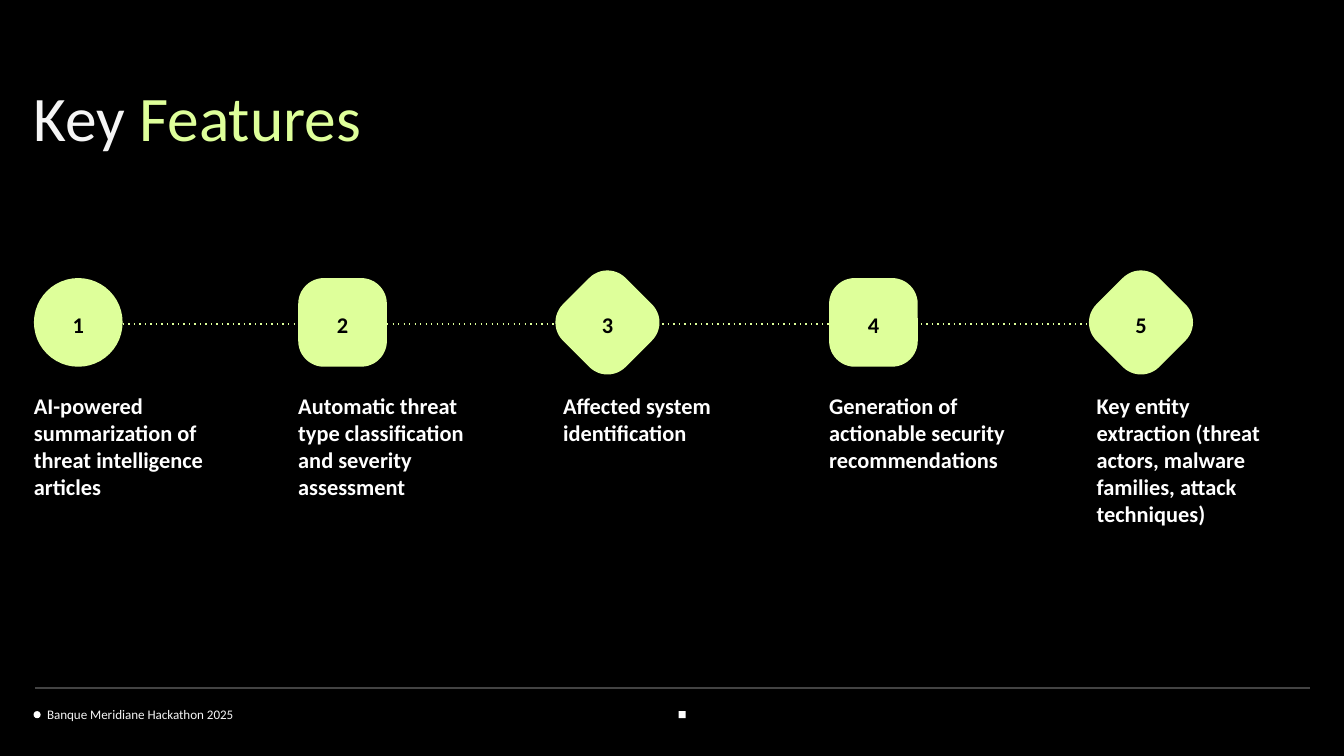
from lxml import etree
from pptx import Presentation
from pptx.dml.color import RGBColor
from pptx.enum.shapes import MSO_CONNECTOR, MSO_SHAPE
from pptx.enum.text import MSO_ANCHOR, MSO_AUTO_SIZE, PP_ALIGN
from pptx.oxml.ns import qn
from pptx.util import Pt

COLORS = {
    "background": "000000",
    "accent": "DEFF9A",
    "title": "F5F5F5",
    "text": "FFFFFF",
    "number": "000000",
    "rule": "434343",
}
FEATURES = [
    (18.2, 0.5, 0, "AI-powered summarization of threat intelligence articles"),
    (159.8, 0.29, 0, "Automatic threat type classification and severity assessment"),
    (301.7, 0.29, 315, "Affected system identification"),
    (444.2, 0.29, 0, "Generation of actionable security recommendations"),
    (587.5, 0.29, 315, "Key entity extraction (threat actors, malware families, attack techniques)"),
]
MARKER = 47.5
MARKER_TOP = 149
NUMBER_W, NUMBER_H = 24.5, 26.6


class Deck:
    font = "Calibri"

    def __init__(self, prs):
        self.slide = prs.slides.add_slide(prs.slide_layouts[5])
        fill = self.slide.background.fill
        fill.solid()
        fill.fore_color.rgb = self.color("background")

    def color(self, name):
        return RGBColor.from_string(COLORS[name])

    def line(self, x1, x2, y, color, dash=None):
        c = self.slide.shapes.add_connector(
            MSO_CONNECTOR.STRAIGHT, Pt(x1), Pt(y), Pt(x2), Pt(y))
        c.line.width = Pt(0.75)
        c.line.color.rgb = self.color(color)
        spPr = c._element.spPr
        if dash:
            etree.SubElement(spPr.find(qn("a:ln")), qn("a:prstDash"), val=dash)
        etree.SubElement(spPr, qn("a:effectLst"))

    def shape(self, kind, x, y, size, color, adj=None, rotation=0):
        sp = self.slide.shapes.add_shape(kind, Pt(x), Pt(y), Pt(size), Pt(size))
        sp.shadow.inherit = False
        sp.fill.solid()
        sp.fill.fore_color.rgb = self.color(color)
        sp.line.fill.background()
        sp.rotation = rotation
        if adj is not None:
            sp.adjustments[0] = adj

    def add_runs(self, sp, runs, size, bold=False, spacing=1.0,
                 align=PP_ALIGN.LEFT, anchor=MSO_ANCHOR.TOP, pad=0):
        tf = sp.text_frame
        tf.word_wrap = True
        tf.auto_size = MSO_AUTO_SIZE.NONE
        tf.vertical_anchor = anchor
        tf.margin_left = tf.margin_top = 0
        tf.margin_right = tf.margin_bottom = Pt(pad)
        p = tf.paragraphs[0]
        p.alignment = align
        p.line_spacing = spacing
        for text, color in runs:
            r = p.add_run()
            r.text = text
            r.font.name = self.font
            r.font.size = Pt(size)
            r.font.bold = bold
            r.font.color.rgb = self.color(color)

    def title(self, x, y, w, h, runs):
        sp = self.slide.shapes.title
        sp.left, sp.top, sp.width, sp.height = Pt(x), Pt(y), Pt(w), Pt(h)
        self.add_runs(sp, runs, 34, spacing=0.85, pad=7.2)

    def text(self, x, y, w, h, text, color, size, **style):
        sp = self.slide.shapes.add_textbox(Pt(x), Pt(y), Pt(w), Pt(h))
        self.add_runs(sp, [(text, color)], size, **style)


def main():
    prs = Presentation()
    prs.slide_width, prs.slide_height = Pt(720), Pt(405)
    deck = Deck(prs)

    deck.title(18, 48.2, 538.6, 42.5, [("Key ", "title"), ("Features", "accent")])

    deck.line(18.7, 620, 173.5, "accent", dash="dot")
    for number, (x, adj, rotation, caption) in enumerate(FEATURES, 1):
        deck.shape(MSO_SHAPE.ROUNDED_RECTANGLE, x, MARKER_TOP, MARKER, "accent",
                   adj, rotation)
        deck.text(x + (MARKER - NUMBER_W) / 2, MARKER_TOP + (MARKER - NUMBER_H) / 2,
                  NUMBER_W, NUMBER_H, str(number), "number", 12, bold=True,
                  spacing=1.15, align=PP_ALIGN.CENTER, anchor=MSO_ANCHOR.MIDDLE)
        deck.text(x, 210.2, 105.8, 11.5, caption, "text", 12, bold=True, pad=7.2)

    deck.line(18.7, 702, 368.6, "rule")
    deck.shape(MSO_SHAPE.OVAL, 18, 381, 3.8, "text")
    deck.shape(MSO_SHAPE.RECTANGLE, 363.6, 381, 3.8, "text")
    deck.text(25.2, 368, 212.4, 18.7, "Banque Meridiane Hackathon 2025", "title", 7,
              spacing=1.15, anchor=MSO_ANCHOR.BOTTOM)

    prs.save("out.pptx")


if __name__ == "__main__":
    main()
